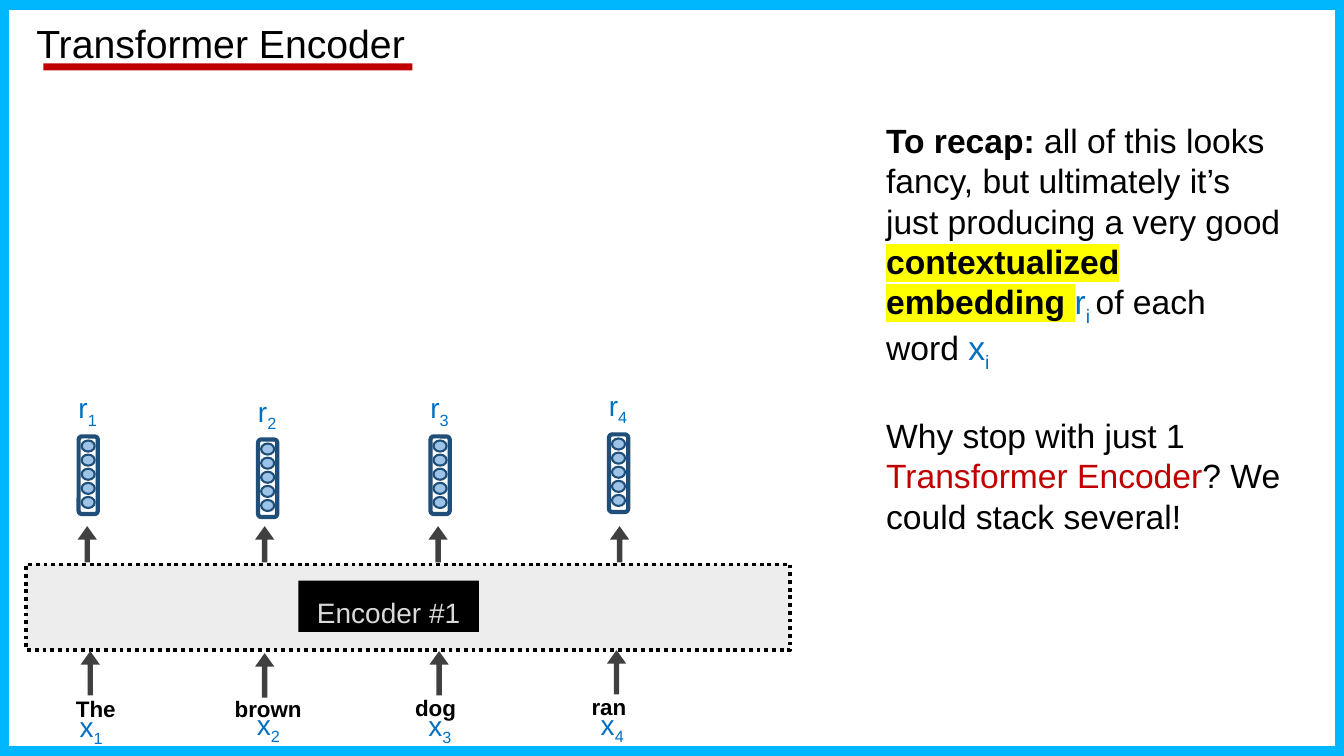
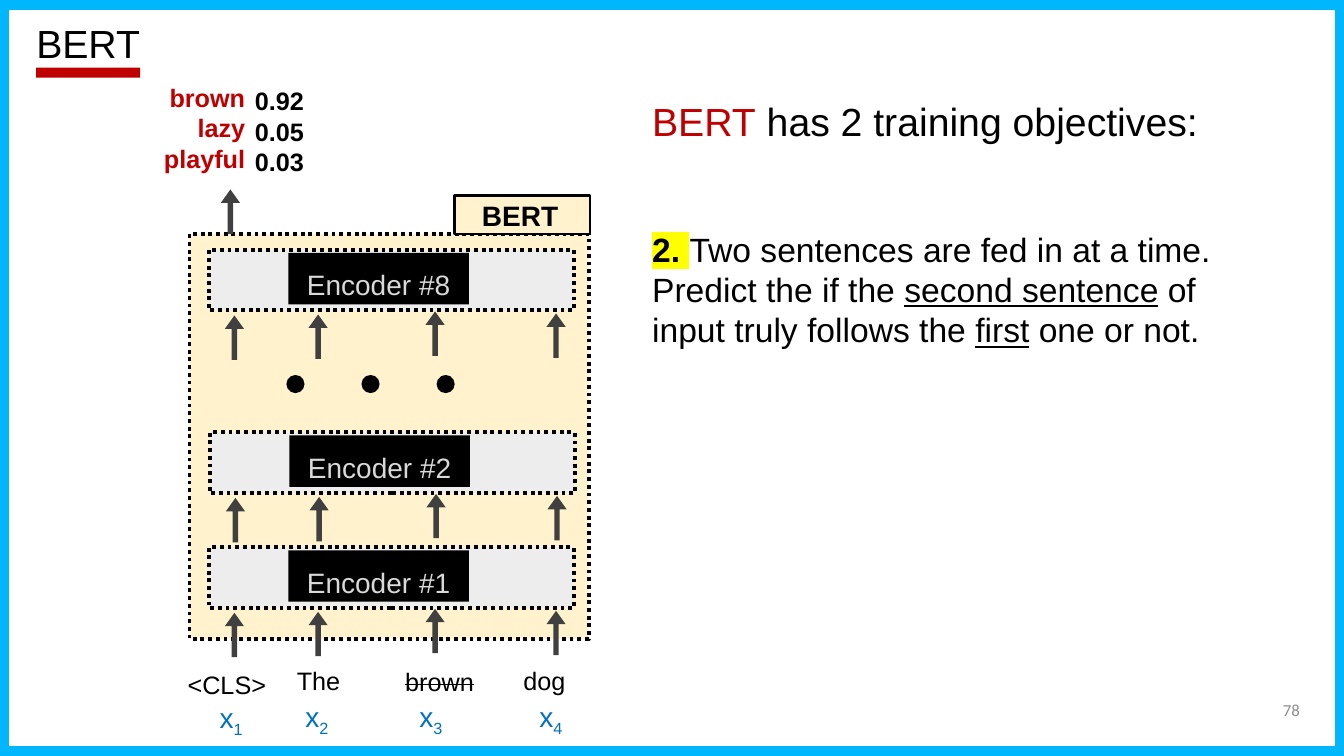
import pptx
import pptx.util
from pptx.dml.color import RGBColor
from pptx.enum.dml import MSO_LINE
from pptx.enum.shapes import MSO_SHAPE
from pptx.enum.text import MSO_ANCHOR, PP_ALIGN
from pptx.oxml.ns import qn
from lxml import etree

WIDTH, HEIGHT = 13.33, 7.5
BLACK, RED, BLUE = "000000", "C00000", "0070C0"
YELLOW, CREAM, PALE_GRAY = "FFFF00", "FFF2CC", "EDEDED"
LIGHT_GRAY, DARK_GRAY, NUMBER_GRAY = "D9D9D9", "404040", "8C8C8C"
FRAME_BLUE, NAVY, CIRCLE_BLUE = "00B6FC", "1F4E79", "9DC3E6"

LABEL = {"alignment": PP_ALIGN.CENTER, "line_spacing": 1.2}
BODY = {"space_before": pptx.util.Pt(30)}
BOLD = {"bold": True}
MARKED = {"bold": True, "highlight": YELLOW}
UNDERLINED = {"underline": True}
SYMBOL = {"color": BLUE}
SUBSCRIPT = {"color": BLUE, "baseline": "-25000"}


def color(hex_string):
    return RGBColor.from_string(hex_string)


def box(left, top, width, height):
    return [pptx.util.Inches(value) for value in (left, top, width, height)]


def add_shape(shapes, kind, place, fill=None, line=None, weight=1, dash=None):
    shape = shapes.add_shape(kind, *box(*place))
    shape.shadow.inherit = False
    if fill:
        shape.fill.solid()
        shape.fill.fore_color.rgb = color(fill)
    else:
        shape.fill.background()
    if line:
        shape.line.color.rgb = color(line)
        shape.line.width = pptx.util.Pt(weight)
        shape.line.dash_style = dash
    else:
        shape.line.fill.background()
    return shape


def apply_format(target, values):
    for name, value in values.items():
        setattr(target, name, value)


def add_run(paragraph, text, size, style):
    """Add a run; style holds font values plus color, highlight, baseline and strike."""
    style = {"name": "Arial", "size": pptx.util.Pt(size), "color": BLACK, **style}
    run = paragraph.add_run()
    run.text = text
    run.font.color.rgb = color(style.pop("color"))
    properties = run._r.get_or_add_rPr()
    for attribute in ("baseline", "strike"):
        if attribute in style:
            properties.set(attribute, style.pop(attribute))
    highlight = style.pop("highlight", None)
    if highlight:
        mark = etree.Element(qn("a:highlight"))
        etree.SubElement(mark, qn("a:srgbClr")).set("val", highlight)
        properties.find(qn("a:solidFill")).addnext(mark)
    apply_format(run.font, style)


def write(shape, paragraphs, size, paragraph_format, **frame_format):
    """Fill a shape with paragraphs, each a list of (text, style) runs."""
    frame = shape.text_frame
    apply_format(frame, {"word_wrap": True, "vertical_anchor": MSO_ANCHOR.TOP,
                         **frame_format})
    for index, runs in enumerate(paragraphs):
        paragraph = frame.add_paragraph() if index else frame.paragraphs[0]
        apply_format(paragraph, paragraph_format)
        if not index:
            paragraph.space_before = pptx.util.Pt(0)
        for text, style in runs:
            add_run(paragraph, text, size, style)


def add_text(slide, place, paragraphs, size, paragraph_format, **frame_format):
    text_box = slide.shapes.add_textbox(*box(*place))
    write(text_box, paragraphs, size, paragraph_format, **frame_format)


def add_frame(slide):
    """Draw the blue frame with square corners."""
    frame = add_shape(slide.shapes, MSO_SHAPE.RECTANGLE,
                      (0.04, 0.05, WIDTH - 0.08, HEIGHT - 0.1), None, FRAME_BLUE, 7)
    outline = frame.element.spPr.find(qn("a:ln"))
    etree.SubElement(outline, qn("a:miter")).set("lim", "800000")


def add_slide(presentation, title, underline):
    slide = presentation.slides.add_slide(presentation.slide_layouts[5])
    add_frame(slide)
    shape = slide.shapes.title
    apply_format(shape, dict(zip(("left", "top", "width", "height"),
                                 box(0.26, 0.19, 9.65, 0.68))))
    write(shape, [[(title, {})]], 28,
          {"alignment": PP_ALIGN.LEFT, "line_spacing": 0.9})
    add_shape(slide.shapes, MSO_SHAPE.RECTANGLE, underline, RED)
    return slide


def add_up_arrow(slide, center, top, height=0.44):
    arrow = add_shape(slide.shapes, MSO_SHAPE.UP_ARROW,
                      (center - 0.09, top, 0.19, height), DARK_GRAY)
    arrow.adjustments[0], arrow.adjustments[1] = 0.28, 0.7


def add_symbol(slide, left, top, letter, index):
    add_text(slide, (left, top, 0.45, 0.44),
             [[(letter, SYMBOL), (str(index), SUBSCRIPT)]], 20, {})


def add_word(slide, center, top, word, size, style):
    add_text(slide, (center - 0.68, top, 1.36, 0.55), [[(word, style)]], size, LABEL)


def add_dotted_box(slide, place, fill):
    add_shape(slide.shapes, MSO_SHAPE.RECTANGLE, place, fill, BLACK, 2.75,
              MSO_LINE.ROUND_DOT)


def add_encoder(slide, place, number, label_offset):
    add_dotted_box(slide, place, PALE_GRAY)
    label = add_shape(slide.shapes, MSO_SHAPE.RECTANGLE,
                      (place[0] + label_offset[0], place[1] + label_offset[1],
                       1.79, 0.51), BLACK)
    write(label, [[(f"Encoder #{number}", {"color": LIGHT_GRAY})]], 20, LABEL,
          margin_top=pptx.util.Inches(0.08))


def add_vector(slide, center, middle):
    """Draw a capsule of five circles as one group."""
    shapes = slide.shapes.add_group_shape().shapes
    add_shape(shapes, MSO_SHAPE.ROUNDED_RECTANGLE,
              (center - 0.1, middle - 0.38, 0.19, 0.77), None, NAVY, 3)
    for step in range(-2, 3):
        add_shape(shapes, MSO_SHAPE.OVAL,
                  (center - 0.07, middle + 0.14 * step - 0.06, 0.13, 0.11),
                  CIRCLE_BLUE, NAVY, 1.5)


def build_transformer_slide(slide):
    # word, word center and top, input arrow center and top, input symbol left and top
    inputs = [("The", 0.95, 6.79, 0.89, 6.46, 0.69, 6.99),
              ("brown", 2.66, 6.79, 2.62, 6.48, 2.45, 6.97),
              ("dog", 4.32, 6.78, 4.35, 6.46, 4.15, 6.98),
              ("ran", 6.04, 6.77, 6.11, 6.45, 5.86, 6.97)]
    # output arrow center, vector center and middle
    outputs = [(0.86, 0.88, 4.71), (2.62, 2.66, 4.74),
               (4.34, 4.37, 4.71), (6.14, 6.14, 4.69)]
    add_encoder(slide, (0.26, 5.6, 7.58, 0.85), 1, (2.7, 0.16))
    for index, (word, center, top, arrow, arrow_top, left, symbol_top) in enumerate(inputs, 1):
        add_up_arrow(slide, arrow, arrow_top)
        add_word(slide, center, top, word, 16, BOLD)
        add_symbol(slide, left, symbol_top, "x", index)
    for index, (arrow, center, middle) in enumerate(outputs, 1):
        add_up_arrow(slide, arrow, 5.22, 0.36)
        add_vector(slide, center, middle)
        add_symbol(slide, center - 0.2, middle - 0.88, "r", index)
    recap = [("To recap: ", BOLD),
             ("all of this looks fancy, but ultimately it’s just producing a very good ", {}),
             ("contextualized embedding ", MARKED), ("r", SYMBOL), ("i ", SUBSCRIPT),
             ("of each word ", {}), ("x", SYMBOL), ("i", SUBSCRIPT)]
    question = [("Why stop with just 1 ", {}), ("Transformer Encoder", {"color": RED}),
                ("? We could stack several!", {})]
    add_text(slide, (8.69, 1.14, 4.11, 4.16), [recap, question], 24, BODY)


def build_bert_slide(slide):
    # word, style, word center and top, symbol left, arrow center and gap below encoder
    tokens = [("<CLS>", {}, 2.25, 6.53, 2.08, 2.32, 0.05),
              ("The", {}, 3.16, 6.49, 2.93, 3.15, 0.04),
              ("brown", {"strike": "sngStrike"}, 4.36, 6.5, 4.06, 4.31, 0.01),
              ("dog", {}, 5.4, 6.49, 5.25, 5.51, 0.03)]
    encoders = [(1, 2.07, 5.43), (2, 2.08, 4.29), (8, 2.07, 2.48)]
    add_dotted_box(slide, (1.88, 2.32, 3.96, 4.02), CREAM)
    for number, left, top in encoders:
        add_encoder(slide, (left, top, 3.62, 0.6), number, (0.79, 0.03))
        for *_, arrow, gap in tokens:
            add_up_arrow(slide, arrow + left - 2.07, top + 0.6 + gap)
    for index, (word, style, center, top, left, *_) in enumerate(tokens, 1):
        add_word(slide, center, top, word, 18, style)
        add_symbol(slide, left, 6.9 if index == 1 else 6.89, "x", index)
    for column in range(3):
        add_shape(slide.shapes, MSO_SHAPE.OVAL,
                  (2.84 + 0.745 * column, 3.72, 0.18, 0.18), BLACK)
    tag = add_shape(slide.shapes, MSO_SHAPE.RECTANGLE, (4.51, 1.94, 1.34, 0.38),
                    CREAM, BLACK, 1.75)
    write(tag, [[("BERT", BOLD)]], 20, LABEL, vertical_anchor=MSO_ANCHOR.MIDDLE,
          margin_right=pptx.util.Inches(0.14), margin_bottom=pptx.util.Inches(0.1))

    add_up_arrow(slide, 2.28, 1.88)
    predictions = [("brown", "0.92"), ("lazy", "0.05"), ("playful", "0.03")]
    words, chances = zip(*predictions)
    add_text(slide, (1.17, 0.77, 1.36, 1), [[(word, {**BOLD, "color": RED})] for word in words],
             18, {"alignment": PP_ALIGN.RIGHT})
    add_text(slide, (2.43, 0.8, 1.07, 1), [[(chance, BOLD)] for chance in chances], 18, {})

    add_text(slide, (6.37, 0.92, 6.46, 0.57),
             [[("BERT", {"color": RED}), (" has 2 training objectives:", {})]], 28, {})
    objective = [("2. ", MARKED),
                 ("Two sentences are fed in at a time. Predict the if the ", {}),
                 ("second sentence", UNDERLINED), (" of input truly follows the ", {}),
                 ("first", UNDERLINED), (" one or not.", {})]
    add_text(slide, (6.37, 2.22, 6.1, 2.14), [objective], 24, BODY)
    add_text(slide, (9.99, 6.84, 3, 0.4),
             [[("78", {"name": "Calibri", "color": NUMBER_GRAY})]], 12,
             {"alignment": PP_ALIGN.RIGHT}, vertical_anchor=MSO_ANCHOR.MIDDLE)


def main():
    presentation = pptx.Presentation()
    presentation.slide_width = pptx.util.Inches(WIDTH)
    presentation.slide_height = pptx.util.Inches(HEIGHT)
    transformer = add_slide(presentation, "Transformer Encoder", (0.43, 0.63, 3.66, 0.07))
    build_transformer_slide(transformer)
    bert = add_slide(presentation, "BERT", (0.36, 0.67, 1.03, 0.1))
    build_bert_slide(bert)
    presentation.save("out.pptx")


if __name__ == "__main__":
    main()
